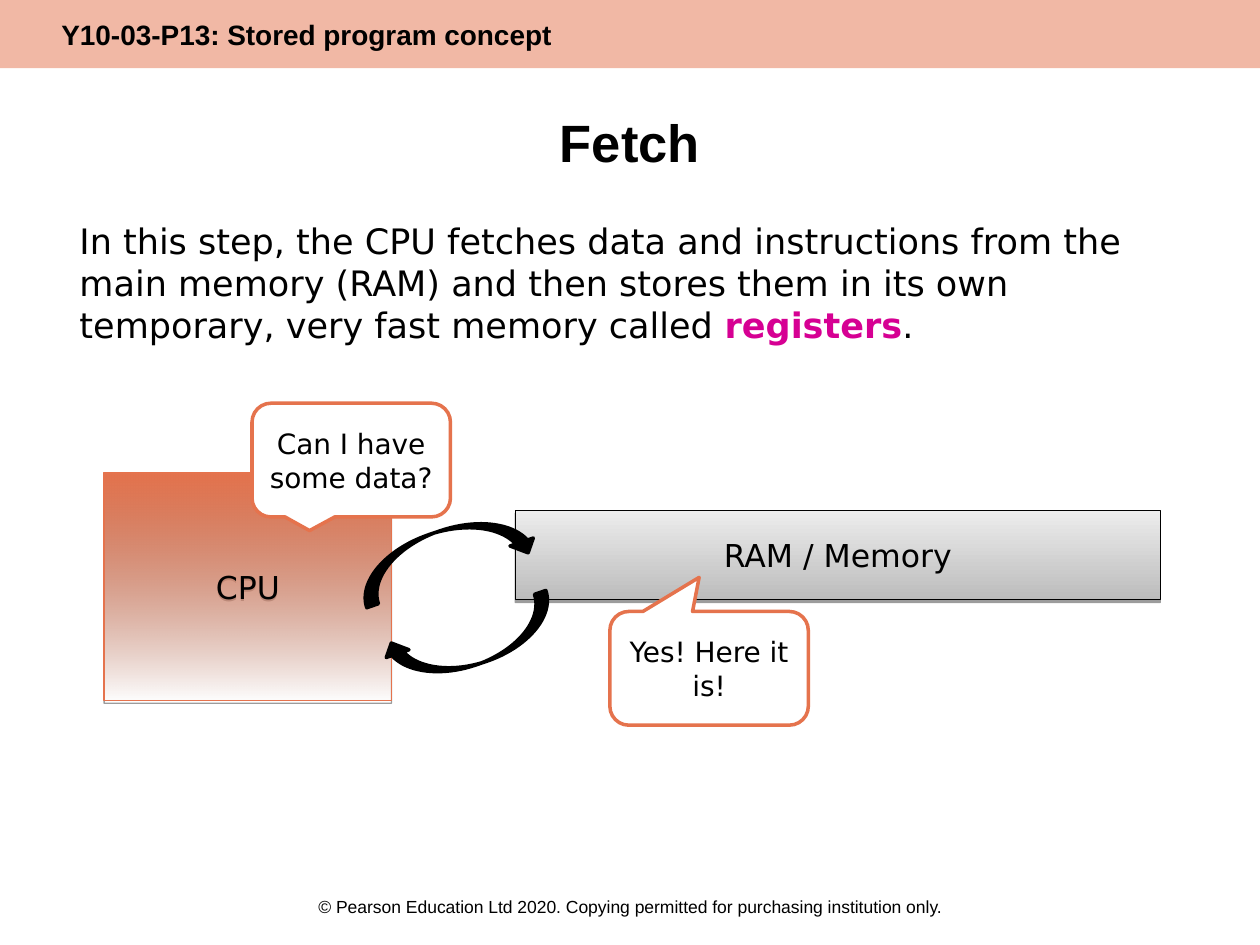
from dataclasses import dataclass
from typing import Optional

from lxml.etree import SubElement
from pptx import Presentation
from pptx.dml.color import RGBColor
from pptx.enum.shapes import MSO_SHAPE as Preset
from pptx.enum.text import MSO_ANCHOR as Anchor, MSO_AUTO_SIZE as AutoSize, PP_ALIGN as Align
from pptx.oxml.ns import qn
from pptx.util import Pt


@dataclass(frozen=True)
class Theme:
    accent: str = "E5734D"
    ink: str = "000000"
    paper: str = "FFFFFF"
    keyword: str = "D60093"
    grey_dark: str = "BCBCBC"
    grey_light: str = "EDEDED"
    heading_font: str = "Arial"
    body_font: str = "DejaVu Sans"
    title_size: float = 30
    body_size: float = 20
    unit_size: float = 18
    speech_size: float = 16
    header_size: float = 16
    footer_size: float = 10


@dataclass(frozen=True)
class Frame:
    left: float
    top: float
    width: float
    height: float

    def lengths(self):
        return Pt(self.left), Pt(self.top), Pt(self.width), Pt(self.height)


@dataclass(frozen=True)
class Unit:
    label: str
    frame: Frame
    bottom: str
    top: str
    outline: str
    bottom_alpha: Optional[int] = None


@dataclass(frozen=True)
class Speech:
    words: str
    frame: Frame
    tip_x: float
    tip_y: float


@dataclass(frozen=True)
class Transfer:
    frame: Frame
    rotation: float


THEME = Theme()
UNITS = (
    Unit("RAM / Memory", Frame(294.5, 291.6, 368.6, 51.1),
         THEME.grey_dark, THEME.grey_light, THEME.ink),
    Unit("CPU", Frame(59.5, 270, 164.2, 130.3),
         THEME.accent, THEME.accent, THEME.accent, 0),
)
TRANSFERS = (
    Transfer(Frame(202.3, 303.1, 104.4, 28.1), 341.2),
    Transfer(Frame(218.9, 352.8, 100.1, 27.4), 161.2),
)
SPEECHES = (
    Speech("Can I have some data?", Frame(144, 230.4, 113.4, 65), -0.21, 0.62),
    Speech("Yes! Here it is!", Frame(348.5, 349.4, 113.4, 65), -0.05, -0.8),
)


def rgb(code: str) -> RGBColor:
    return RGBColor.from_string(code)


def set_alpha(element, percent: int) -> None:
    colour = next(element.iter(qn("a:srgbClr")))
    SubElement(colour, qn("a:alpha"), val=str(percent * 1000))


def style(font, name: str, size: float, bold: bool = False) -> None:
    font.name, font.size, font.bold = name, Pt(size), bold
    font.color.rgb = rgb(THEME.ink)


def write(box, words: str, name: str, size: float, bold: bool = False,
          align=Align.CENTER, anchor=Anchor.MIDDLE):
    frame = box.text_frame
    frame.text = words
    frame.word_wrap, frame.auto_size = True, AutoSize.NONE
    frame.vertical_anchor = anchor
    para = frame.paragraphs[0]
    para.alignment = align
    for span in para.runs:
        style(span.font, name, size, bold)
    return para


def place(box, frame: Frame) -> None:
    box.left, box.top, box.width, box.height = frame.lengths()


def add_preset(page, preset, frame: Frame, fill: Optional[str] = None,
               line: Optional[str] = None, weight: float = 2):
    shape = page.shapes.add_shape(preset, *frame.lengths())
    shape.shadow.inherit = False
    if fill:
        shape.fill.solid()
        shape.fill.fore_color.rgb = rgb(fill)
    if line:
        shape.line.color.rgb = rgb(line)
        shape.line.width = Pt(weight)
    else:
        shape.line.fill.background()
    return shape


def add_header(page, words: str) -> None:
    band = add_preset(page, Preset.RECTANGLE, Frame(0, 0, 720, 39), THEME.accent)
    set_alpha(band.fill._xPr, 50)
    para = write(band, words, THEME.heading_font, THEME.header_size, True, Align.LEFT)
    para._p.get_or_add_pPr().set("marL", str(Pt(28)))


def add_footer(page, words: str) -> None:
    box = page.shapes.add_textbox(*Frame(0, 508.3, 720, 22.3).lengths())
    write(box, words, THEME.heading_font, THEME.footer_size, anchor=Anchor.TOP)


def fill_title(page, words: str) -> None:
    title = page.shapes.title
    place(title, Frame(36, 59, 648, 62.6))
    write(title, words, THEME.heading_font, THEME.title_size, True, anchor=Anchor.TOP)


def fill_body(page, before: str, keyword: str, after: str) -> None:
    body = page.placeholders[1]
    place(body, Frame(38.2, 121.7, 633.6, 91.4))
    body.fill.solid()
    body.fill.fore_color.rgb = rgb(THEME.paper)
    para = write(body, before, THEME.body_font, THEME.body_size,
                 align=Align.LEFT, anchor=Anchor.TOP)
    properties = para._p.get_or_add_pPr()
    properties.set("marL", "0")
    properties.set("indent", "0")
    SubElement(properties, qn("a:buNone"))
    para.space_before = Pt(0)
    for words, bold in ((keyword, True), (after, False)):
        span = para.add_run()
        span.text = words
        style(span.font, THEME.body_font, THEME.body_size, bold)
    para.runs[1].font.color.rgb = rgb(THEME.keyword)


def add_unit(page, unit: Unit) -> None:
    box = add_preset(page, Preset.RECTANGLE, unit.frame, line=unit.outline, weight=0.75)
    box.fill.gradient()
    box.fill.gradient_angle = 90
    stops = box.fill.gradient_stops
    for stop, position, colour in zip(stops, (0, 1), (unit.bottom, unit.top)):
        stop.position, stop.color.rgb = position, rgb(colour)
    if unit.bottom_alpha is not None:
        set_alpha(stops[0]._gs, unit.bottom_alpha)
    effects = box._element.spPr.find(qn("a:effectLst"))
    shadow = SubElement(effects, qn("a:outerShdw"), blurRad="0", dist=str(Pt(1.6)),
                        dir="5400000", rotWithShape="0")
    SubElement(shadow, qn("a:srgbClr"), val=THEME.ink)
    set_alpha(shadow, 38)
    write(box, unit.label, THEME.body_font, THEME.unit_size)


def add_transfer(page, transfer: Transfer) -> None:
    arrow = add_preset(page, Preset.CURVED_DOWN_ARROW, transfer.frame, THEME.ink, THEME.ink)
    arrow.rotation = transfer.rotation


def add_speech(page, speech: Speech) -> None:
    bubble = add_preset(page, Preset.ROUNDED_RECTANGULAR_CALLOUT, speech.frame,
                        THEME.paper, THEME.accent)
    bubble.adjustments[0], bubble.adjustments[1] = speech.tip_x, speech.tip_y
    write(bubble, speech.words, THEME.body_font, THEME.speech_size)


def main() -> None:
    """Build the slide on the fetch step and save it."""
    deck = Presentation()
    deck.slide_width, deck.slide_height = Pt(720), Pt(540)
    page = deck.slides.add_slide(deck.slide_layouts[1])
    add_header(page, "Y10-03-P13: Stored program concept")
    add_footer(page, "© Pearson Education Ltd 2020. Copying permitted for "
                     "purchasing institution only.")
    fill_title(page, "Fetch")
    fill_body(page, "In this step, the CPU fetches data and instructions from the main "
                    "memory (RAM) and then stores them in its own temporary, very fast "
                    "memory called ", "registers", ".")
    for draw, items in ((add_unit, UNITS), (add_transfer, TRANSFERS), (add_speech, SPEECHES)):
        for item in items:
            draw(page, item)
    deck.save("out.pptx")


if __name__ == "__main__":
    main()
